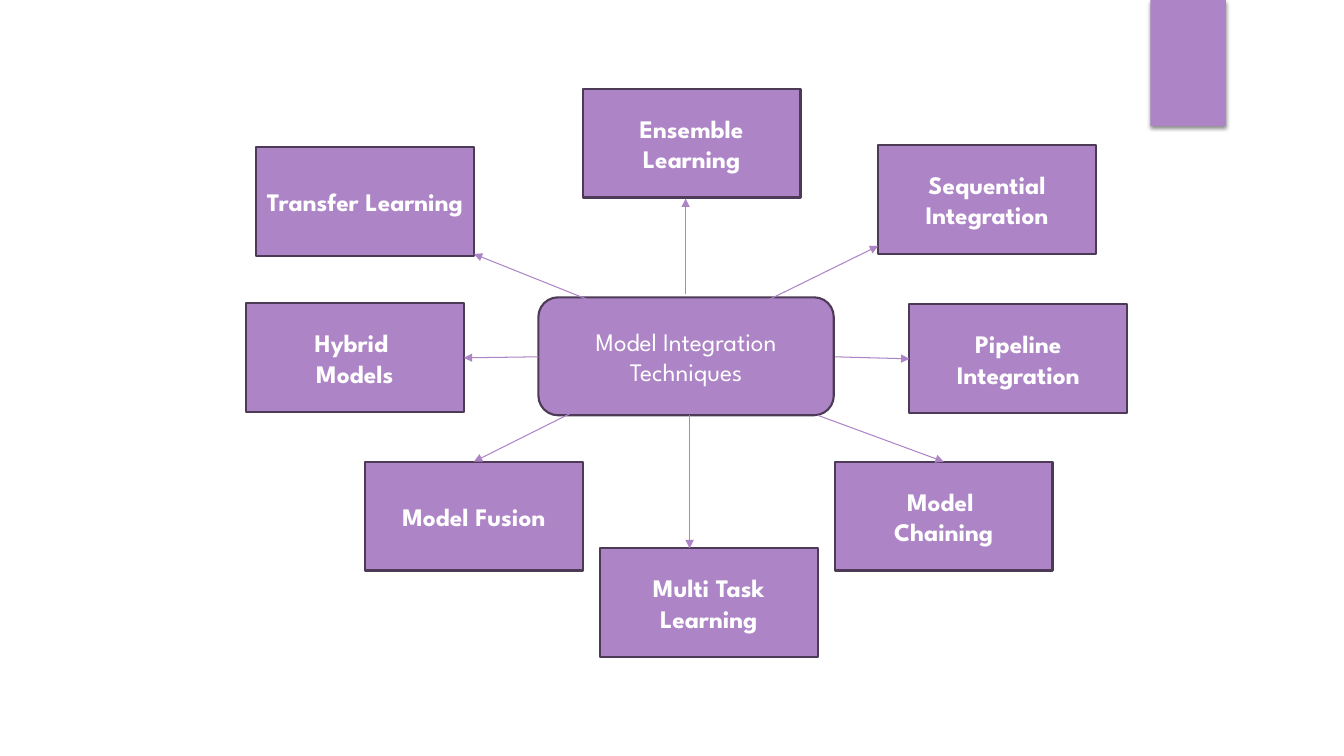
"""Build a slide that maps model integration techniques around a hub."""
from dataclasses import dataclass

from lxml import etree
from pptx import Presentation
from pptx.dml.color import RGBColor
from pptx.enum.shapes import MSO_CONNECTOR, MSO_SHAPE
from pptx.enum.text import MSO_ANCHOR, PP_ALIGN
from pptx.oxml import parse_xml
from pptx.oxml.ns import nsdecls, qn
from pptx.shapes.autoshape import Shape
from pptx.shapes.shapetree import SlideShapes
from pptx.util import Inches, Pt

RECT = MSO_SHAPE.RECTANGLE
ROUND = MSO_SHAPE.ROUNDED_RECTANGLE
LINE = MSO_CONNECTOR.STRAIGHT
MIDDLE = MSO_ANCHOR.MIDDLE
CENTER = PP_ALIGN.CENTER

COLORS = {"fill": "AD84C6", "edge": "4C3A57", "text": "FFFFFF", "shade": "000000"}
FORMAT = {"name": "League Spartan", "size": Pt(18)}
WIDTH, HEIGHT = 2.16, 1.08


@dataclass(frozen=True)
class Box:
    text: str
    left: float
    top: float
    width: float = WIDTH
    height: float = HEIGHT
    kind: MSO_SHAPE = RECT
    bold: bool = True


@dataclass(frozen=True)
class Arrow:
    start: tuple[float, float]
    end: tuple[float, float]


BOXES = [
    Box("Model Integration Techniques", 5.34, 2.95, 2.93, 1.17, ROUND, False),
    Box("Transfer Learning", 2.54, 1.46),
    Box("Hybrid \nModels", 2.44, 3.01),
    Box("Ensemble Learning", 5.78, 0.88),
    Box("Multi Task Learning", 5.95, 5.44),
    Box("Model Fusion", 3.62, 4.58),
    Box("Model \nChaining", 8.28, 4.58),
    Box("Sequential Integration", 8.71, 1.44),
    Box("Pipeline Integration", 9.02, 3.02),
]

ARROWS = [
    Arrow((6.8, 2.92), (6.8, 1.97)),
    Arrow((5.34, 3.54), (4.6, 3.55)),
    Arrow((5.95, 3.02), (4.7, 2.52)),
    Arrow((7.57, 3), (8.71, 2.44)),
    Arrow((8.11, 4.12), (9.36, 4.58)),
    Arrow((8.28, 3.54), (9.02, 3.56)),
    Arrow((6.84, 4.12), (6.84, 5.44)),
    Arrow((5.7, 4.08), (4.7, 4.58)),
]


def paint(name: str) -> RGBColor:
    """Return the named color."""
    return RGBColor.from_string(COLORS[name])


def add_block(shapes: SlideShapes, box: Box) -> Shape:
    """Add a filled shape without a shadow."""
    frame = (box.left, box.top, box.width, box.height)
    shape = shapes.add_shape(box.kind, *map(Inches, frame))
    shape.shadow.inherit = False
    shape.fill.solid()
    shape.fill.fore_color.rgb = paint("fill")
    return shape


def add_tab(shapes: SlideShapes) -> None:
    """Add the top tab with its soft shadow."""
    tab = add_block(shapes, Box("", 11.41, 0, 0.75, 1.25))
    tab.line.fill.background()
    shade = parse_xml(
        f'<a:outerShdw {nsdecls("a")} blurRad="{Pt(3)}" dist="{Pt(2)}" '
        f'dir="5400000" rotWithShape="0"><a:srgbClr val="{COLORS["shade"]}">'
        '<a:alpha val="45000"/></a:srgbClr></a:outerShdw>'
    )
    tab.element.spPr.find(qn("a:effectLst")).append(shade)


def add_box(shapes: SlideShapes, box: Box) -> None:
    """Add an outlined box with centred text."""
    shape = add_block(shapes, box)
    shape.line.color.rgb = paint("edge")
    shape.line.width = Pt(1.5)
    frame = shape.text_frame
    frame.word_wrap = True
    frame.vertical_anchor = MIDDLE
    frame.text = box.text
    for para in frame.paragraphs:
        para.alignment = CENTER
        font = para.runs[0].font
        font.color.rgb = paint("text")
        for key, value in {**FORMAT, "bold": box.bold}.items():
            setattr(font, key, value)


def add_arrow(shapes: SlideShapes, arrow: Arrow) -> None:
    """Add a thin arrow that points at its end."""
    link = shapes.add_connector(LINE, *map(Inches, arrow.start + arrow.end))
    link.line.color.rgb = paint("fill")
    link.line.width = Pt(0.75)
    etree.SubElement(link.line._get_or_add_ln(), qn("a:tailEnd"), type="triangle")
    etree.SubElement(link.element.spPr, qn("a:effectLst"))


def main() -> None:
    """Build and save the slide."""
    deck = Presentation()
    deck.slide_width = Inches(13.33)
    deck.slide_height = Inches(7.5)
    shapes = deck.slides.add_slide(deck.slide_layouts[6]).shapes
    add_tab(shapes)
    for box in BOXES:
        add_box(shapes, box)
    for arrow in ARROWS:
        add_arrow(shapes, arrow)
    deck.save("out.pptx")


if __name__ == "__main__":
    main()
